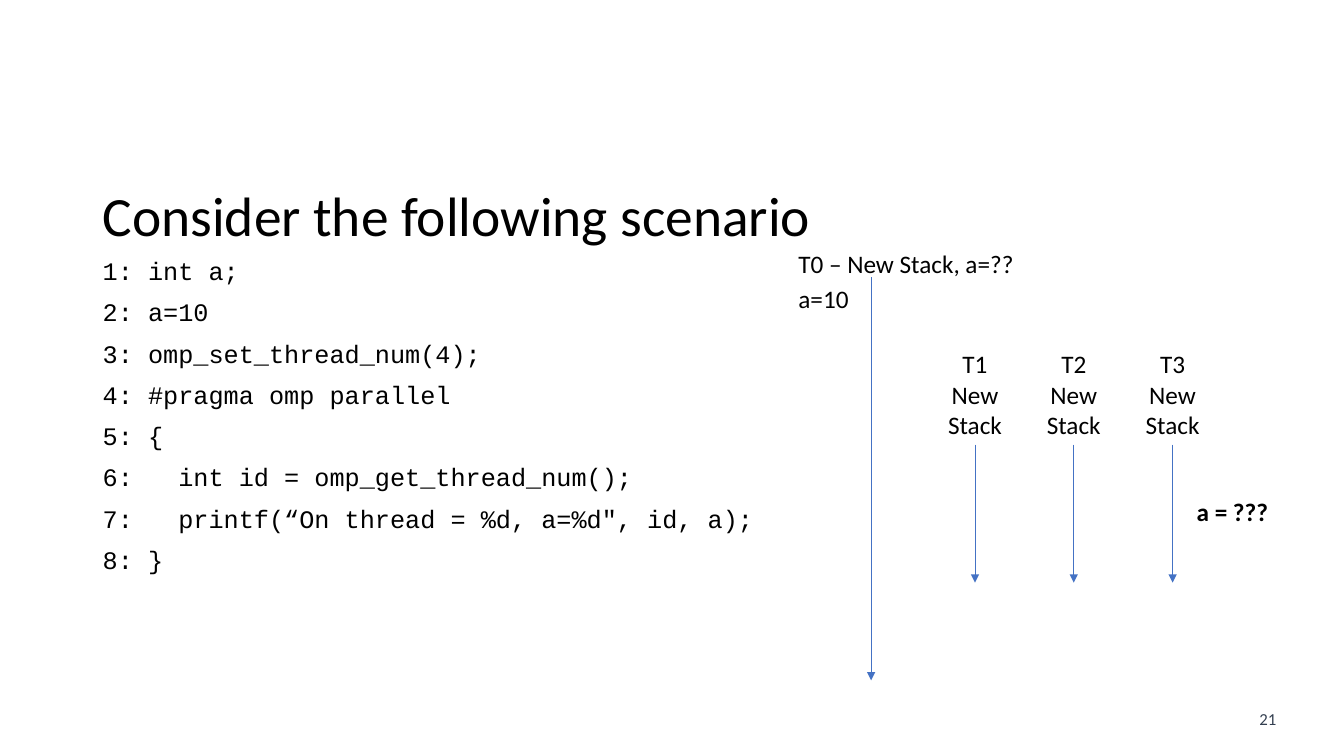
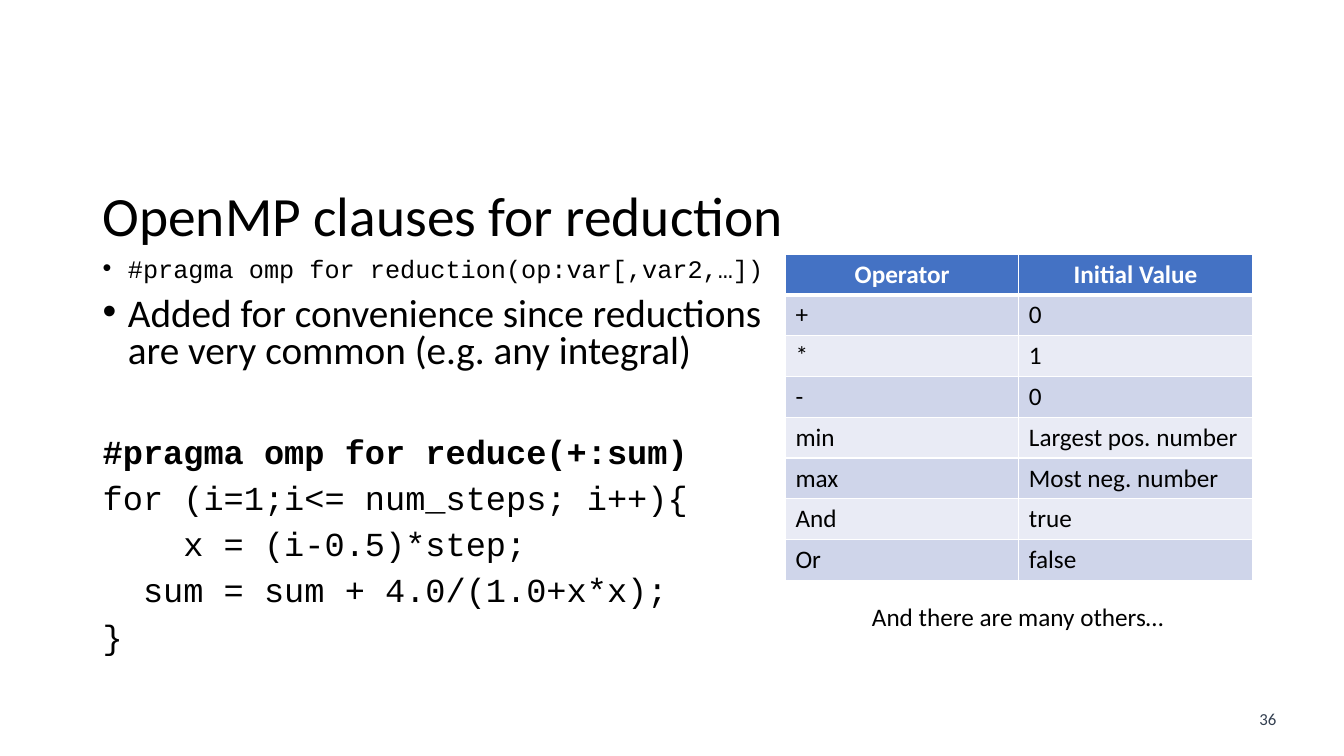
from lxml import etree
from pptx import Presentation
from pptx.dml.color import RGBColor
from pptx.enum.shapes import MSO_CONNECTOR
from pptx.enum.text import MSO_ANCHOR, PP_ALIGN
from pptx.oxml.ns import qn
from pptx.util import Inches, Pt

# Shared style
BLACK, WHITE, BLUE, SLATE = "000000", "FFFFFF", "4472C4", "333F50"
BANDS = ("CFD5EA", "E9EBF5")
SANS, MONO = "Calibri", "Courier New"
LEFT, TITLE_TOP, BODY_TOP = 0.92, 1.82, 2.52


def rgb(value):
    return RGBColor.from_string(value)


def sub(parent, tag, **attrs):
    el = etree.SubElement(parent, qn(tag))
    for key, value in attrs.items():
        el.set(key, str(value))
    return el


def write(p, text, size=18, font=SANS, color=BLACK, bold=False,
          align=PP_ALIGN.LEFT, spacing=None, before=None, bullet=False):
    """Fill one paragraph with formatted text."""
    p.alignment = align
    if spacing:
        p.line_spacing = spacing
    if before is not None:
        p.space_before = Pt(before)
    if bullet:
        pPr = p._p.get_or_add_pPr()
        pPr.set("marL", str(Inches(0.25)))
        pPr.set("indent", str(-Inches(0.25)))
        sub(pPr, "a:buFont", typeface="Arial")
        sub(pPr, "a:buChar", char="•")
    r = p.add_run()
    r.text = text
    r.font.size, r.font.name, r.font.bold = Pt(size), font, bold
    r.font.color.rgb = rgb(color)


def add_text(slide, box, lines, wrap=False, anchor=MSO_ANCHOR.TOP, **fmt):
    """Add a text box; a line is a string or (string, own format)."""
    sp = slide.shapes.add_textbox(*map(Inches, box))
    tf = sp.text_frame
    tf.word_wrap, tf.vertical_anchor = wrap, anchor
    for i, line in enumerate(lines):
        text, own = (line, {}) if isinstance(line, str) else line
        p = tf.add_paragraph() if i else tf.paragraphs[0]
        write(p, text, **{**fmt, **own})
    return sp


def add_arrow(slide, x, top, bottom, start=None):
    cxn = slide.shapes.add_connector(
        MSO_CONNECTOR.STRAIGHT, *map(Inches, (x, top, x, bottom)))
    if start is not None:
        cxn.begin_connect(start, 2)
    cxn.line.color.rgb, cxn.line.width = rgb(BLUE), Pt(0.5)
    sub(cxn.line._get_or_add_ln(), "a:tailEnd", type="triangle")
    sub(cxn._element.spPr, "a:effectLst")


def new_slide(prs, title, number):
    """Blank slide with the shared title and page number."""
    s = prs.slides.add_slide(prs.slide_layouts[6])
    add_text(s, (12.34, 6.98, 0.47, 0.3), [number], wrap=True,
             size=12, color=SLATE, align=PP_ALIGN.CENTER)
    add_text(s, (LEFT, TITLE_TOP, 11.5, 0.7), [title], wrap=True,
             anchor=MSO_ANCHOR.MIDDLE, size=39.6, spacing=0.9)
    return s


def add_body(slide, width, lines, **fmt):
    add_text(slide, (LEFT, BODY_TOP, width, 4.37), lines, wrap=True,
             font=MONO, before=10, **fmt)


def add_threads(slide, left, top):
    """Timeline of the main thread and the three threads it forks."""
    add_arrow(slide, left + 0.82, top + 0.34, top + 4.34)
    add_text(slide, (left, top, 2.36, 0.4), ["T0 – New Stack, a=??"])
    add_text(slide, (left, top + 0.35, 0.71, 0.4), ["a=10"])
    width, step = 0.74, 0.98
    for i in range(3):
        x = left + 1.85 + i * step
        label = add_text(slide, (x - width / 2, top + 1, width, 1),
                         [f"T{i + 1}", "New", "Stack"], align=PP_ALIGN.CENTER)
        add_arrow(slide, x, top + 2, top + 3.37, start=label)
    add_text(slide, (left + 3.95, top + 2.46, 0.92, 0.4), ["a = ???"], bold=True)


def set_borders(cell, bottom):
    tcPr = cell._tc.get_or_add_tcPr()
    for side, width in (("L", 1), ("R", 1), ("T", 1), ("B", bottom)):
        ln = sub(tcPr, f"a:ln{side}", w=Pt(width))
        sub(sub(ln, "a:solidFill"), "a:srgbClr", val=WHITE)


def add_operator_table(slide, left, top, width, row_height, rows):
    height = row_height * len(rows)
    table = slide.shapes.add_table(
        len(rows), 2, *map(Inches, (left, top, width, height))).table
    for i, row in enumerate(rows):
        header = i == 0
        fill = BLUE if header else BANDS[(i - 1) % 2]
        fmt = dict(color=WHITE, bold=True, align=PP_ALIGN.CENTER) if header else {}
        for j, text in enumerate(row):
            cell = table.cell(i, j)
            set_borders(cell, 3 if header else 1)
            cell.fill.solid()
            cell.fill.fore_color.rgb = rgb(fill)
            write(cell.text_frame.paragraphs[0], text, **fmt)


def scenario_slide(prs):
    s = new_slide(prs, "Consider the following scenario", "21")
    add_body(s, 6.75, [
        "1: int a;",
        "2: a=10",
        "3: omp_set_thread_num(4);",
        "4: #pragma omp parallel",
        "5: {",
        "6:   int id = omp_get_thread_num();",
        "7:   printf(“On thread = %d, a=%d\", id, a);",
        "8: }",
    ], spacing=0.9)
    add_threads(s, 7.82, 2.41)


def reduction_slide(prs):
    s = new_slide(prs, "OpenMP clauses for reduction", "36")
    add_body(s, 6.91, [
        ("#pragma omp for reduction(op:var[,var2,…])",
         dict(size=18, bullet=True)),
        ("Added for convenience since reductions are very common "
         "(e.g. any integral)", dict(size=28, font=SANS, bullet=True)),
        ("#pragma omp for reduce(+:sum)", dict(bold=True, before=47)),
        "for (i=1;i<= num_steps; i++){",
        "    x = (i-0.5)*step;",
        "  sum = sum + 4.0/(1.0+x*x);",
        "}",
    ], size=24, spacing=0.8)
    add_operator_table(s, 7.79, BODY_TOP, 4.63, 0.405, [
        ("Operator", "Initial Value"),
        ("+", "0"),
        ("*", "1"),
        ("-", "0"),
        ("min", "Largest pos. number"),
        ("max", "Most neg. number"),
        ("And", "true"),
        ("Or", "false"),
    ])
    add_text(s, (8.55, 5.92, 3.14, 0.4), ["And there are many others…"])


def main():
    prs = Presentation()
    prs.slide_width, prs.slide_height = Inches(13.33), Inches(7.5)
    scenario_slide(prs)
    reduction_slide(prs)
    prs.save("out.pptx")


if __name__ == "__main__":
    main()
